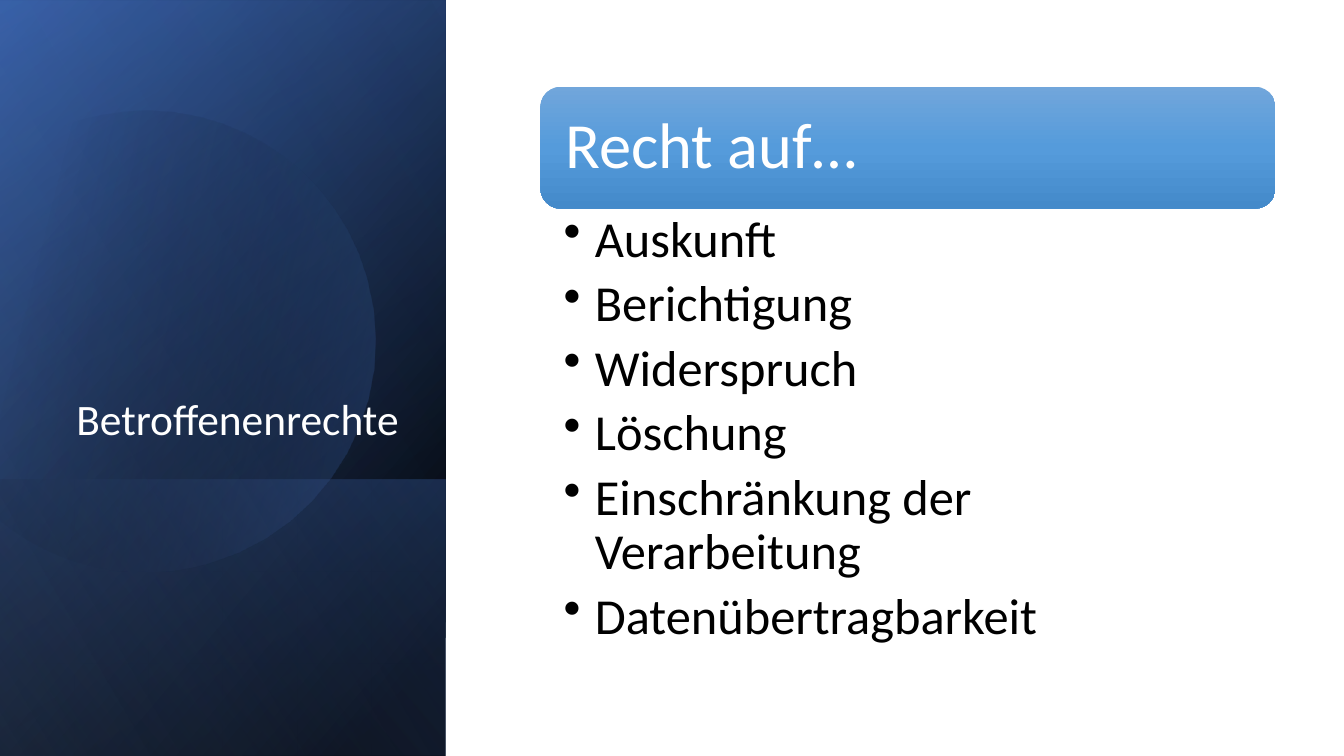
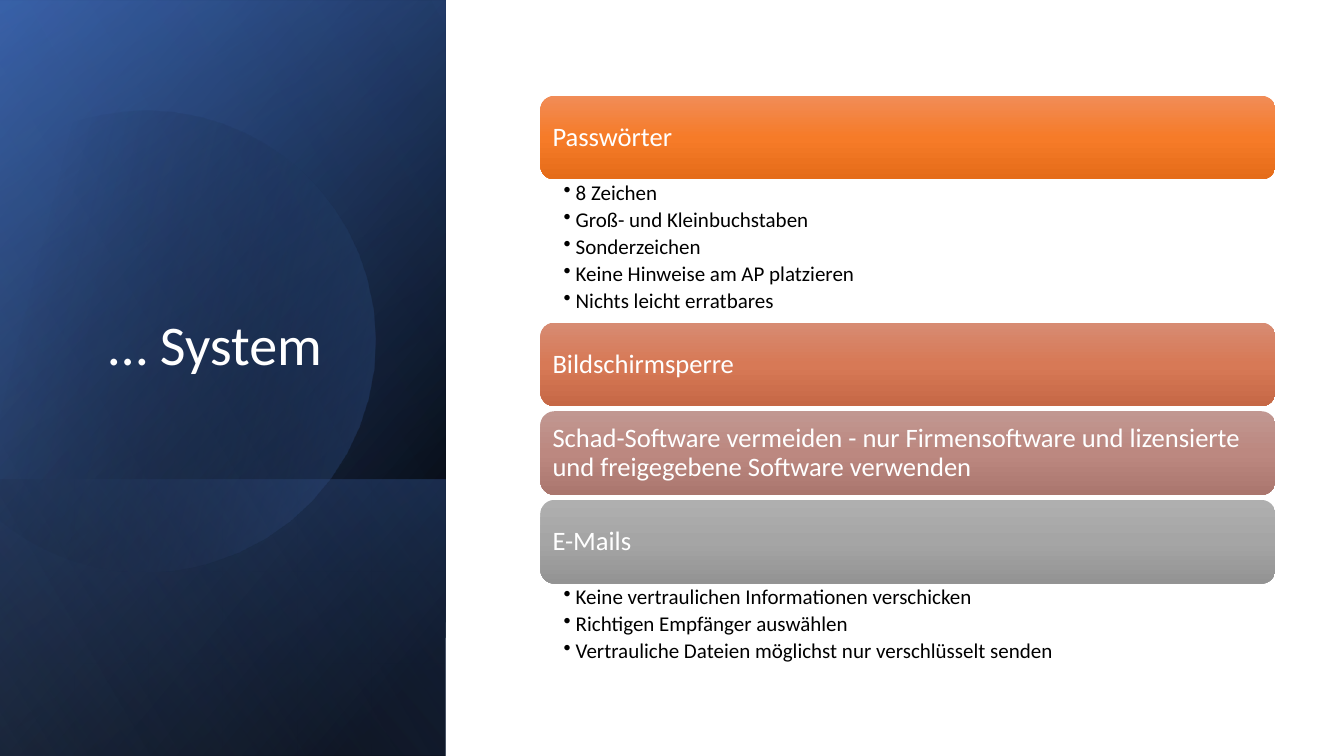
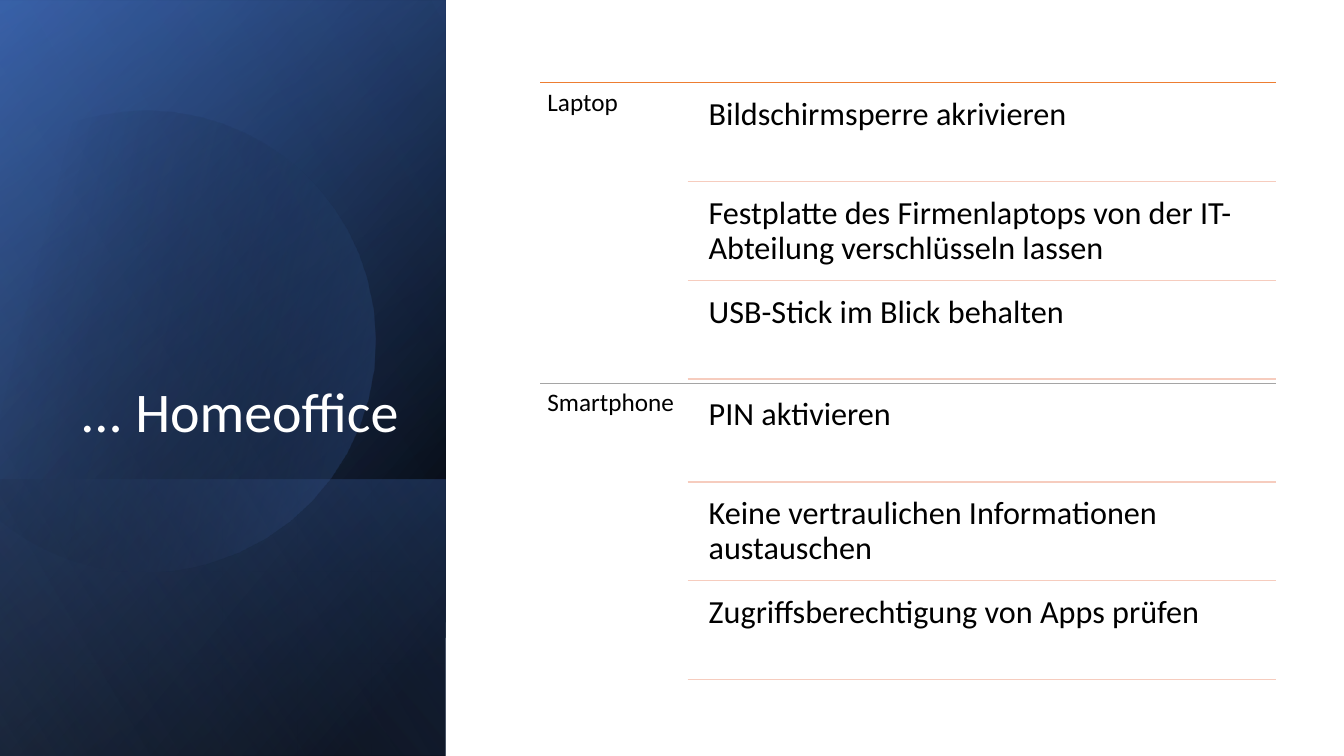
"""Build three training slides on data protection rights and secure work."""
import math

import lxml.etree
import pptx
import pptx.dml.color
import pptx.enum.shapes
import pptx.enum.text
import pptx.oxml.ns
import pptx.util

Inches = pptx.util.Inches
Pt = pptx.util.Pt
qn = pptx.oxml.ns.qn
Align = pptx.enum.text.PP_ALIGN
Anchor = pptx.enum.text.MSO_ANCHOR
Preset = pptx.enum.shapes.MSO_SHAPE

COLORS = {
    "white": "FFFFFF", "black": "000000", "navy": "2F5597",
    "blue": "4472C4", "pale blue": "8FAADC", "orange": "ED7D31",
    "gray": "A5A5A5", "rose": "F6CCBE",
    "sky top": "71A6DB", "sky": "559BDB", "sky base": "448ACA",
    "amber top": "F18C57", "amber": "F67B28", "amber base": "E56C19",
    "copper top": "D78B72", "copper": "D77956", "copper base": "C66846",
    "mauve top": "C19791", "mauve": "BC8880", "mauve base": "AA766E",
    "silver top": "AFAFAF", "silver": "A5A5A5", "silver base": "939393",
}
CIRCLE_START = (1.49, 1.1)
CIRCLE_CURVES = [
    [(2.46, 1.12), (3.35, 1.77), (3.63, 2.75)],
    [(3.98, 3.97), (3.28, 5.23), (2.07, 5.58)],
    [(1.31, 5.8), (0.53, 5.61), (-0.03, 5.14)],
    [(-0.15, 5.03)],
    [(-0.15, 1.75)],
    [(0, 1.61)],
    [(0.23, 1.42), (0.5, 1.28), (0.8, 1.19)],
    [(1.03, 1.13), (1.26, 1.1), (1.49, 1.1)],
]
CIRCLE_CENTER = (1.59, 3.35)
CIRCLE_TURN = 343.9
CONTENT_LEFT, CONTENT_WIDTH = 5.36, 7.29


def curve_points(start, curves, steps=12):
    points = [start]
    for curve in curves:
        if len(curve) == 1:
            points += curve
            continue
        controls = [points[-1], *curve]
        for step in range(1, steps + 1):
            t = step / steps
            weights = [math.comb(3, k) * t**k * (1 - t)**(3 - k) for k in range(4)]
            points.append(tuple(
                sum(weight * point[axis] for weight, point in zip(weights, controls))
                for axis in (0, 1)))
    return points


def turn(point, center, degrees):
    angle = math.radians(degrees)
    x, y = point[0] - center[0], point[1] - center[1]
    return (center[0] + x * math.cos(angle) - y * math.sin(angle),
            center[1] + x * math.sin(angle) + y * math.cos(angle))


def write_text(frame, lines, size, color="black", align=Align.LEFT,
               anchor=Anchor.TOP, insets=(0.1, 0.05, 0.1, 0.05), indent=0):
    frame.word_wrap = True
    frame.vertical_anchor = anchor
    frame.margin_left, frame.margin_top, frame.margin_right, frame.margin_bottom = map(Inches, insets)
    for index, line in enumerate(lines):
        para = frame.add_paragraph() if index else frame.paragraphs[0]
        para.alignment = align
        para.line_spacing = 0.9
        if indent:
            para.level = 1
            para.space_after = Pt(size * 0.2)
            properties = para._p.get_or_add_pPr()
            properties.set("marL", str(Inches(indent)))
            properties.set("indent", str(-Inches(indent)))
            lxml.etree.SubElement(properties, qn("a:buChar")).set("char", "•")
        span = para.add_run()
        span.text = line
        span.font.name = "Calibri"
        span.font.size = Pt(size)
        span.font.color.rgb = pptx.dml.color.RGBColor.from_string(COLORS[color])


class Builder:
    def __init__(self):
        self.deck = pptx.Presentation()
        self.deck.slide_width, self.deck.slide_height = Inches(13.33), Inches(7.5)
        self.page = None

    def start(self, title, left=0.64, top=1.84, size=40):
        self.page = self.deck.slides.add_slide(self.deck.slide_layouts[6])
        self.panel()
        self.text([title], left, top, 3.41, 2.62, size=size, color="white",
                  align=Align.RIGHT, anchor=Anchor.BOTTOM)

    def gradient(self, shape, stops, angle):
        shape.shadow.inherit = False
        shape.line.fill.background()
        shape.fill.gradient()
        shape.fill.gradient_angle = 360 - angle
        stop_list = shape._element.spPr.find(qn("a:gradFill")).find(qn("a:gsLst"))
        for stop in list(stop_list):
            stop_list.remove(stop)
        for position, color, opacity in stops:
            stop = lxml.etree.SubElement(stop_list, qn("a:gs"))
            stop.set("pos", str(position * 1000))
            tone = lxml.etree.SubElement(stop, qn("a:srgbClr"))
            tone.set("val", COLORS[color])
            if opacity < 100:
                lxml.etree.SubElement(tone, qn("a:alpha")).set("val", str(opacity * 1000))

    def shape(self, preset, left, top, width, height, stops, angle):
        shape = self.page.shapes.add_shape(preset, *map(Inches, (left, top, width, height)))
        self.gradient(shape, stops, angle)
        return shape

    def layer(self, left, top, width, stops, angle):
        layer = self.shape(Preset.RECTANGLE, left, top, width, 4.42, stops, angle)
        layer.rotation = 90
        layer._element.spPr.find(qn("a:xfrm")).set("flipH", "1")

    def panel(self):
        self.layer(-1.54, 1.54, 7.5, [(8, "black", 100), (100, "navy", 100)], 50)
        self.layer(-1.54, 1.55, 7.5, [(0, "black", 0), (99, "blue", 46)], 30)
        self.layer(0.84, 3.92, 2.74, [(2, "blue", 29), (100, "black", 30)], 130)
        self.circle()
        self.layer(-1.54, 1.54, 7.5, [(0, "black", 0), (99, "pale blue", 11)], 120)

    def circle(self):
        points = [turn(point, CIRCLE_CENTER, -CIRCLE_TURN)
                  for point in curve_points(CIRCLE_START, CIRCLE_CURVES)]
        outline = [(Inches(x), Inches(y)) for x, y in points]
        builder = self.page.shapes.build_freeform(*outline[0])
        builder.add_line_segments(outline[1:], close=True)
        circle = builder.convert_to_shape()
        circle.rotation = CIRCLE_TURN
        self.gradient(circle, [(29, "black", 0), (100, "blue", 43)], 30)

    def text(self, lines, left, top, width, height, **style):
        box = self.page.shapes.add_textbox(*map(Inches, (left, top, width, height)))
        write_text(box.text_frame, lines, **style)

    def bar(self, label, top, height, hue, size, pad, inset):
        stops = [(0, hue + " top", 100), (50, hue, 100), (100, hue + " base", 100)]
        self.shape(Preset.ROUNDED_RECTANGLE, CONTENT_LEFT, top, CONTENT_WIDTH, height, stops, 90)
        self.text([label], CONTENT_LEFT + pad, top + pad, CONTENT_WIDTH - 2 * pad,
                  height - 2 * pad, size=size, color="white", anchor=Anchor.MIDDLE,
                  insets=(inset,) * 4)

    def bullets(self, lines, top, height, **style):
        self.text(lines, CONTENT_LEFT, top, CONTENT_WIDTH, height, **style)

    def rule(self, left, top, color, width):
        line = self.page.shapes.add_connector(
            pptx.enum.shapes.MSO_CONNECTOR.STRAIGHT,
            *map(Inches, (left, top, 12.66, top)))
        line.line.color.rgb = pptx.dml.color.RGBColor.from_string(COLORS[color])
        line.line.width = Pt(width)
        lxml.etree.SubElement(line._element.spPr, qn("a:effectLst"))

    def topic(self, label, rows, top, color):
        self.rule(CONTENT_LEFT, top, color, 0.5)
        self.text([label], CONTENT_LEFT, top, 1.46, 2.98, size=18, insets=(0.07,) * 4)
        for index, row in enumerate(rows):
            row_top = top + index * 0.98
            self.text([row], 6.93, row_top + 0.05, 5.72, 0.93, size=23, insets=(0.1,) * 4)
            self.rule(6.82, row_top + 0.98, "rose", 1)


def rights_slide(builder):
    builder.start("Betroffenenrechte", size=31)
    builder.bar("Recht auf…", 0.86, 1.21, "sky", size=46, pad=0.06, inset=0.19)
    builder.bullets(
        ["Auskunft", "Berichtigung", "Widerspruch", "Löschung",
         "Einschränkung der Verarbeitung", "Datenübertragbarkeit"],
        2.06, 4.69, size=36, insets=(0.23, 0.06, 0.36, 0.06), indent=0.31)


def system_slide(builder):
    builder.start("… System", left=-0.12, top=1.18)
    sections = [
        ("Passwörter", "amber", 1.42,
         ["8 Zeichen", "Groß- und Kleinbuchstaben", "Sonderzeichen",
          "Keine Hinweise am AP platzieren", "Nichts leicht erratbares"]),
        ("Bildschirmsperre", "copper", 0.05, []),
        ("Schad-Software vermeiden - nur Firmensoftware und lizensierte "
         "und freigegebene Software verwenden", "mauve", 0.05, []),
        ("E-Mails", "silver", 0.86,
         ["Keine vertraulichen Informationen verschicken",
          "Richtigen Empfänger auswählen",
          "Vertrauliche Dateien möglichst nur verschlüsselt senden"]),
    ]
    top, bar_height = 0.95, 0.83
    for label, hue, space, lines in sections:
        builder.bar(label, top, bar_height, hue, size=19, pad=0.04, inset=0.08)
        top += bar_height
        if lines:
            builder.bullets(lines, top, space, size=15,
                            insets=(0.23, 0.03, 0.15, 0.03), indent=0.12)
        top += space


def home_office_slide(builder):
    builder.start("...\u00a0Homeoffice")
    builder.topic("Laptop", ["Bildschirmsperre akrivieren",
                             "Festplatte des Firmenlaptops von der IT-Abteilung verschlüsseln lassen",
                             "USB-Stick im Blick behalten"], 0.82, "orange")
    builder.topic("Smartphone", ["PIN aktivieren",
                                 "Keine vertraulichen Informationen austauschen",
                                 "Zugriffsberechtigung von Apps prüfen"], 3.8, "gray")


builder = Builder()
rights_slide(builder)
system_slide(builder)
home_office_slide(builder)
builder.deck.save("out.pptx")
